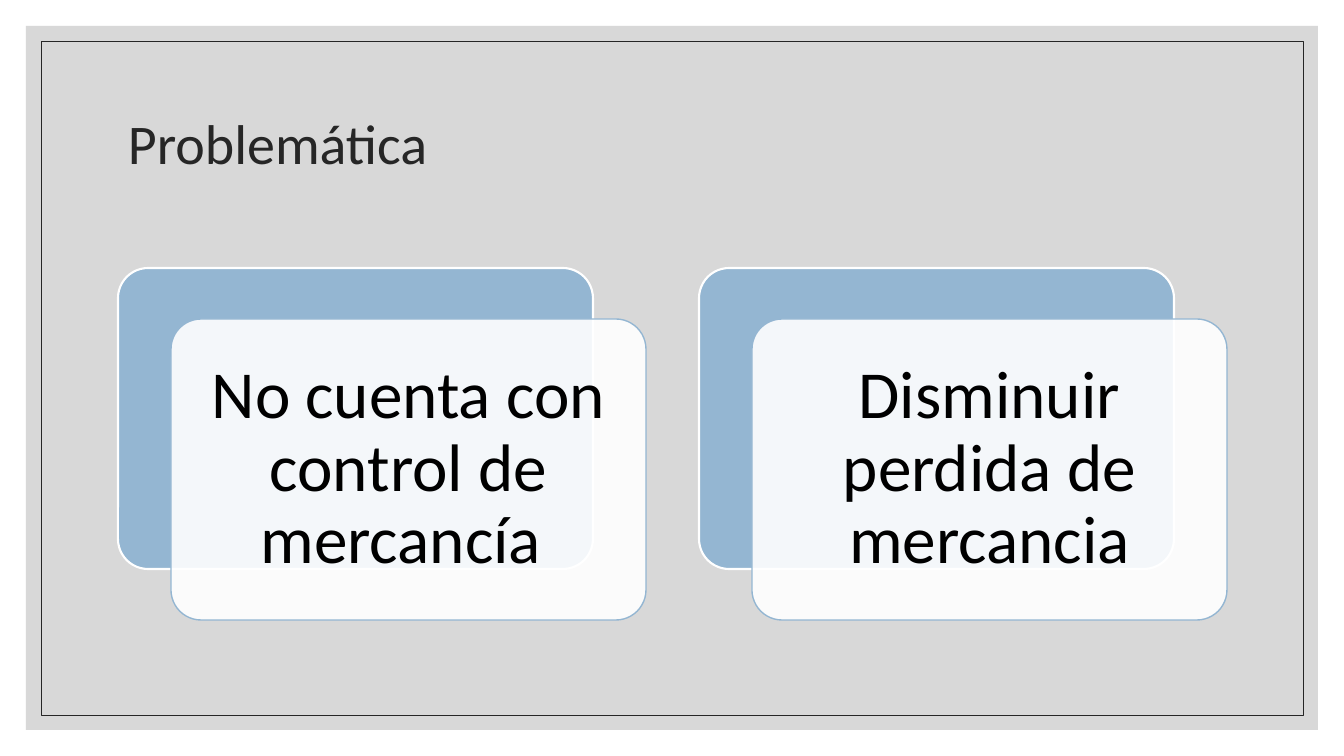
import pptx
import pptx.dml.color
import pptx.enum.shapes
import pptx.enum.text
import pptx.oxml
import pptx.oxml.ns
import pptx.util

PX = 914400 / 100.8  # EMU in one px
SLIDE_WIDTH, SLIDE_HEIGHT = 1344, 756
FONT = "Calibri"
COLORS = {
    "panel": "BFBFBF",
    "ink": "262626",
    "blue": "94B6D2",
    "white": "FFFFFF",
    "black": "000000",
}
PROBLEMS = ["No cuenta con control de mercancía ", "Disminuir perdida de mercancia"]
RECT = pptx.enum.shapes.MSO_SHAPE.RECTANGLE
ROUNDED = pptx.enum.shapes.MSO_SHAPE.ROUNDED_RECTANGLE


def px(length):
    return pptx.util.Emu(round(length * PX))


def rgb(name):
    return pptx.dml.color.RGBColor.from_string(COLORS[name])


def set_format(target, values):
    for name, value in values.items():
        setattr(target, name, value)


def add_panel(slide, kind, box, fill=None, opacity=100, line=None, line_width=1):
    panel = slide.shapes.add_shape(kind, *map(px, box))
    panel.shadow.inherit = False
    if fill:
        panel.fill.solid()
        panel.fill.fore_color.rgb = rgb(fill)
        if opacity < 100:
            color = panel.fill._xPr.find(".//" + pptx.oxml.ns.qn("a:srgbClr"))
            alpha = pptx.oxml.parse_xml(
                f'<a:alpha {pptx.oxml.ns.nsdecls("a")} val="{opacity * 1000}"/>')
            color.append(alpha)
    else:
        panel.fill.background()
    if line:
        panel.line.color.rgb = rgb(line)
        panel.line.width = pptx.util.Pt(line_width)
    else:
        panel.line.fill.background()
    if kind == ROUNDED:
        panel.adjustments[0] = 0.1
    return panel


def write_text(shape, text, size, color, align, margins):
    frame = shape.text_frame
    frame.text = text
    set_format(frame, {
        "word_wrap": True,
        "auto_size": pptx.enum.text.MSO_AUTO_SIZE.NONE,
        "vertical_anchor": pptx.enum.text.MSO_ANCHOR.MIDDLE,
        "margin_left": px(margins[0]),
        "margin_right": px(margins[0]),
        "margin_top": px(margins[1]),
        "margin_bottom": px(margins[1]),
    })
    paragraph = frame.paragraphs[0]
    set_format(paragraph, {"alignment": align, "line_spacing": 0.9})
    font = paragraph.runs[0].font
    set_format(font, {"name": FONT, "size": pptx.util.Pt(size)})
    font.color.rgb = rgb(color)


def add_backdrop(slide, box):
    """Grey panel with a thin border set inside it."""
    left, top, width, height = box
    inset = 15
    add_panel(slide, RECT, box, "panel", opacity=60)
    border = (left + inset, top + inset, width - 2 * inset, height - 2 * inset)
    add_panel(slide, RECT, border, line="ink", line_width=0.5)


def add_title(slide, box, text):
    title = slide.shapes.title
    # Bring the title in front of the backdrop
    title.element.getparent().append(title.element)
    set_format(title, dict(zip(("left", "top", "width", "height"), map(px, box))))
    write_text(title, text, 40, "ink", pptx.enum.text.PP_ALIGN.LEFT, (10, 5))


def add_problem_card(slide, box, text):
    """Blue card with a translucent text card shifted over it."""
    left, top, width, height = box
    shift_x, shift_y = 53, 51
    card_size = (width - shift_x, height - shift_y)
    add_panel(slide, ROUNDED, (left, top, *card_size), "blue",
              line="white", line_width=1.5)
    front = add_panel(slide, ROUNDED, (left + shift_x, top + shift_y, *card_size),
                      "white", opacity=90, line="blue")
    write_text(front, text, 48, "black", pptx.enum.text.PP_ALIGN.CENTER, (20, 20))


def add_problems(slide, box, problems):
    left, top, width, height = box
    gap = 53
    card_width = (width - gap * (len(problems) - 1)) / len(problems)
    for index, problem in enumerate(problems):
        card_left = left + index * (card_width + gap)
        add_problem_card(slide, (card_left, top, card_width, height), problem)


def main():
    deck = pptx.Presentation()
    set_format(deck, {"slide_width": px(SLIDE_WIDTH), "slide_height": px(SLIDE_HEIGHT)})
    slide = deck.slides.add_slide(deck.slide_layouts[5])
    slide.background.fill.solid()
    slide.background.fill.fore_color.rgb = rgb("white")

    add_backdrop(slide, (26, 26, 1292, 704))
    add_title(slide, (118, 71, 1109, 151), "Problemática")
    add_problems(slide, (118, 268, 1109, 352), PROBLEMS)
    deck.save("out.pptx")


if __name__ == "__main__":
    main()
